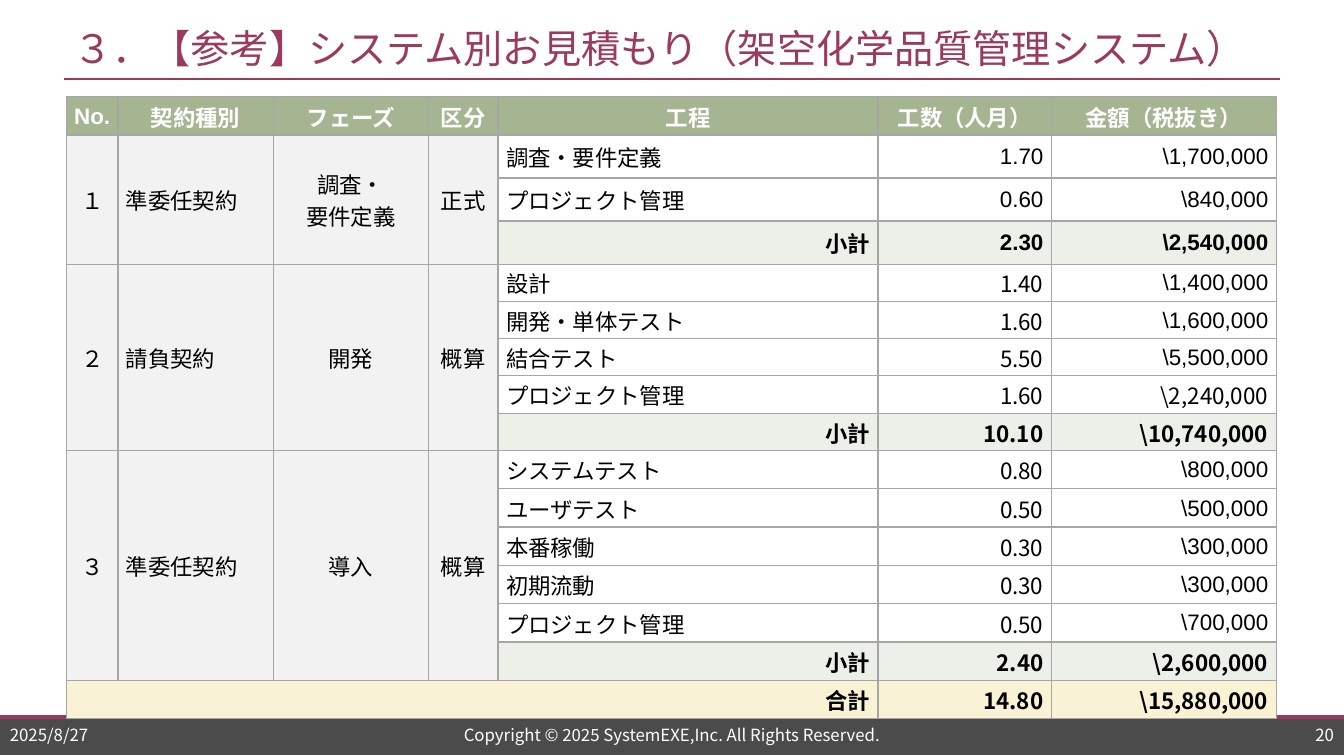
from lxml.etree import SubElement
from pptx import Presentation
from pptx.dml.color import RGBColor
from pptx.enum.shapes import MSO_CONNECTOR, MSO_SHAPE
from pptx.enum.text import MSO_ANCHOR, PP_ALIGN
from pptx.oxml.ns import qn
from pptx.util import Inches, Pt

WHITE = RGBColor(0xFF, 0xFF, 0xFF)
BLACK = RGBColor(0x00, 0x00, 0x00)
WINE = RGBColor(0x9A, 0x3B, 0x5D)
CHARCOAL = RGBColor(0x4B, 0x4B, 0x4B)
GRID = RGBColor(0xA6, 0xA6, 0xA6)
SAGE = RGBColor(0xA5, 0xB5, 0x92)
PALE_SAGE = RGBColor(0xED, 0xF0, 0xE9)
PALE_GREY = RGBColor(0xF2, 0xF2, 0xF2)
CREAM = RGBColor(0xFA, 0xF2, 0xD4)

ARIAL = "Arial"
NOTO = "Noto Sans CJK JP"
LEFT, CENTER, RIGHT = PP_ALIGN.LEFT, PP_ALIGN.CENTER, PP_ALIGN.RIGHT

TIGHT = (0.01, 0.01, 0.01, 0)
NUMBER = (0, 0.01, 0, 0)
PADDED = (0.08, 0.01, 0.08, 0)
FIGURE = (0.01, 0.01, 0.08, 0)
ROOMY = (0.08, 0.08, 0.08, 0.08)

COLUMN_WIDTHS = [0.51, 1.54, 1.54, 0.69, 3.77, 1.72, 2.23]
ROW_HEIGHTS = [0.38, 0.35, 0.35] + [0.37] * 6 + [0.38] * 7
HEADINGS = ["No.", "契約種別", "フェーズ", "区分", "工程", "工数（人月）", "金額（税抜き）"]
PHASES = [
    (["１", "準委任契約", "調査・\n要件定義", "正式"], [
        ("調査・要件定義", "1.70", "\\1,700,000"),
        ("プロジェクト管理", "0.60", "\\840,000"),
        ("小計", "2.30", "\\2,540,000"),
    ]),
    (["２", "請負契約", "開発", "概算"], [
        ("設計", "1.40", "\\1,400,000"),
        ("開発・単体テスト", "1.60", "\\1,600,000"),
        ("結合テスト", "5.50", "\\5,500,000"),
        ("プロジェクト管理", "1.60", "\\2,240,000"),
        ("小計", "10.10", "\\10,740,000"),
    ]),
    (["３", "準委任契約", "導入", "概算"], [
        ("システムテスト", "0.80", "\\800,000"),
        ("ユーザテスト", "0.50", "\\500,000"),
        ("本番稼働", "0.30", "\\300,000"),
        ("初期流動", "0.30", "\\300,000"),
        ("プロジェクト管理", "0.50", "\\700,000"),
        ("小計", "2.40", "\\2,600,000"),
    ]),
]
TOTAL = ("合計", "14.80", "\\15,880,000")
NOTO_AMOUNTS = {"\\2,240,000", "\\10,740,000", "\\2,600,000", "\\15,880,000"}


def set_format(target, values):
    for name, value in values.items():
        setattr(target, name, value)


def write(frame, text, align, size, color, font=NOTO, bold=False):
    frame.text = text
    for paragraph in frame.paragraphs:
        paragraph.alignment = align
        for run in paragraph.runs:
            set_format(run.font, {"name": font, "size": Pt(size), "bold": bold})
            run.font.color.rgb = color
            SubElement(run.font._element, qn("a:ea"), typeface=NOTO)


def add_label(slide, place, text, align, size, color):
    label = slide.shapes.add_textbox(*map(Inches, place))
    set_format(label.text_frame, {
        "word_wrap": True, "vertical_anchor": MSO_ANCHOR.MIDDLE,
        "margin_top": 0, "margin_bottom": 0,
    })
    write(label.text_frame, text, align, size, color)


def add_rule(slide, left, right, top, width):
    rule = slide.shapes.add_connector(
        MSO_CONNECTOR.STRAIGHT, Inches(left), Inches(top), Inches(right), Inches(top))
    rule.line.color.rgb = WINE
    rule.line.width = Pt(width)
    SubElement(rule._element.spPr, qn("a:effectLst"))


def add_footer_band(slide):
    band = slide.shapes.add_shape(
        MSO_SHAPE.RECTANGLE, Inches(0), Inches(7.1), Inches(13.33), Inches(0.39))
    band.shadow.inherit = False
    band.fill.solid()
    band.fill.fore_color.rgb = CHARCOAL
    band.line.fill.background()


def add_borders(cell):
    properties = cell._tc.get_or_add_tcPr()
    for side in ("lnL", "lnR", "lnT", "lnB"):
        border = SubElement(properties, qn(f"a:{side}"), w=str(Pt(1)))
        SubElement(SubElement(border, qn("a:solidFill")), qn("a:srgbClr"), val=str(GRID))


def fill_cell(cell, text, align, fill, margins, color=BLACK, font=ARIAL, bold=False):
    sides = ("margin_left", "margin_top", "margin_right", "margin_bottom")
    set_format(cell, dict(zip(sides, map(Inches, margins))))
    cell.vertical_anchor = MSO_ANCHOR.MIDDLE
    cell.fill.solid()
    cell.fill.fore_color.rgb = fill
    write(cell.text_frame, text, align, 16, color, font, bold)


def fill_figures(table, row, effort, amount, fill, bold, first_phase):
    margins = ROOMY if first_phase else FIGURE
    effort_font = ARIAL if first_phase else NOTO
    amount_font = NOTO if amount in NOTO_AMOUNTS else ARIAL
    fill_cell(table.cell(row, 5), effort, RIGHT, fill, margins, font=effort_font, bold=bold)
    fill_cell(table.cell(row, 6), amount, RIGHT, fill, margins, font=amount_font, bold=bold)


def fill_phase(table, top, heads, steps):
    for column, head in enumerate(heads):
        cell = table.cell(top, column)
        cell.merge(table.cell(top + len(steps) - 1, column))
        fill_cell(cell, head, LEFT if column == 1 else CENTER, PALE_GREY,
                  PADDED if column else NUMBER)
    for row, (step, effort, amount) in enumerate(steps, top):
        subtotal = step == "小計"
        fill = PALE_SAGE if subtotal else WHITE
        fill_cell(table.cell(row, 4), step, RIGHT if subtotal else LEFT, fill,
                  FIGURE if subtotal else PADDED, bold=subtotal)
        fill_figures(table, row, effort, amount, fill, subtotal, top == 1)


def add_estimate(slide):
    table = slide.shapes.add_table(
        len(ROW_HEIGHTS), len(COLUMN_WIDTHS), Inches(0.66), Inches(0.96),
        Inches(sum(COLUMN_WIDTHS)), Inches(sum(ROW_HEIGHTS))).table
    set_format(table, {"first_row": False, "horz_banding": False})
    for column, width in zip(table.columns, COLUMN_WIDTHS):
        column.width = Inches(width)
    for row, height in zip(table.rows, ROW_HEIGHTS):
        row.height = Inches(height)
    for cell in table.iter_cells():
        add_borders(cell)
        fill_cell(cell, "", LEFT, WHITE, TIGHT)
    for column, heading in enumerate(HEADINGS):
        fill_cell(table.cell(0, column), heading, CENTER, SAGE, TIGHT, WHITE, bold=True)
    top = 1
    for heads, steps in PHASES:
        fill_phase(table, top, heads, steps)
        top += len(steps)
    label, effort, amount = TOTAL
    table.cell(top, 0).merge(table.cell(top, 4))
    fill_cell(table.cell(top, 0), label, RIGHT, CREAM, FIGURE, bold=True)
    fill_figures(table, top, effort, amount, CREAM, True, False)


def main():
    deck = Presentation()
    set_format(deck, {"slide_width": Inches(13.33), "slide_height": Inches(7.5)})
    slide = deck.slides.add_slide(deck.slide_layouts[6])
    add_footer_band(slide)
    add_rule(slide, 0, 13.33, 7.11, 2.75)
    add_rule(slide, 0.63, 12.7, 0.78, 1.5)
    add_label(slide, (0.63, 0.2, 12.07, 0.55),
              "３．【参考】システム別お見積もり（架空化学品質管理システム）", LEFT, 28, WINE)
    for left, width, text, align in [
        (3.32, 6.69, "Copyright © 2025 SystemEXE,Inc. All Rights Reserved.", CENTER),
        (0, 1.57, "2025/8/27", LEFT),
        (11.76, 1.57, "20", RIGHT),
    ]:
        add_label(slide, (left, 7.17, width, 0.24), text, align, 12, WHITE)
    add_estimate(slide)
    deck.save("out.pptx")


if __name__ == "__main__":
    main()
